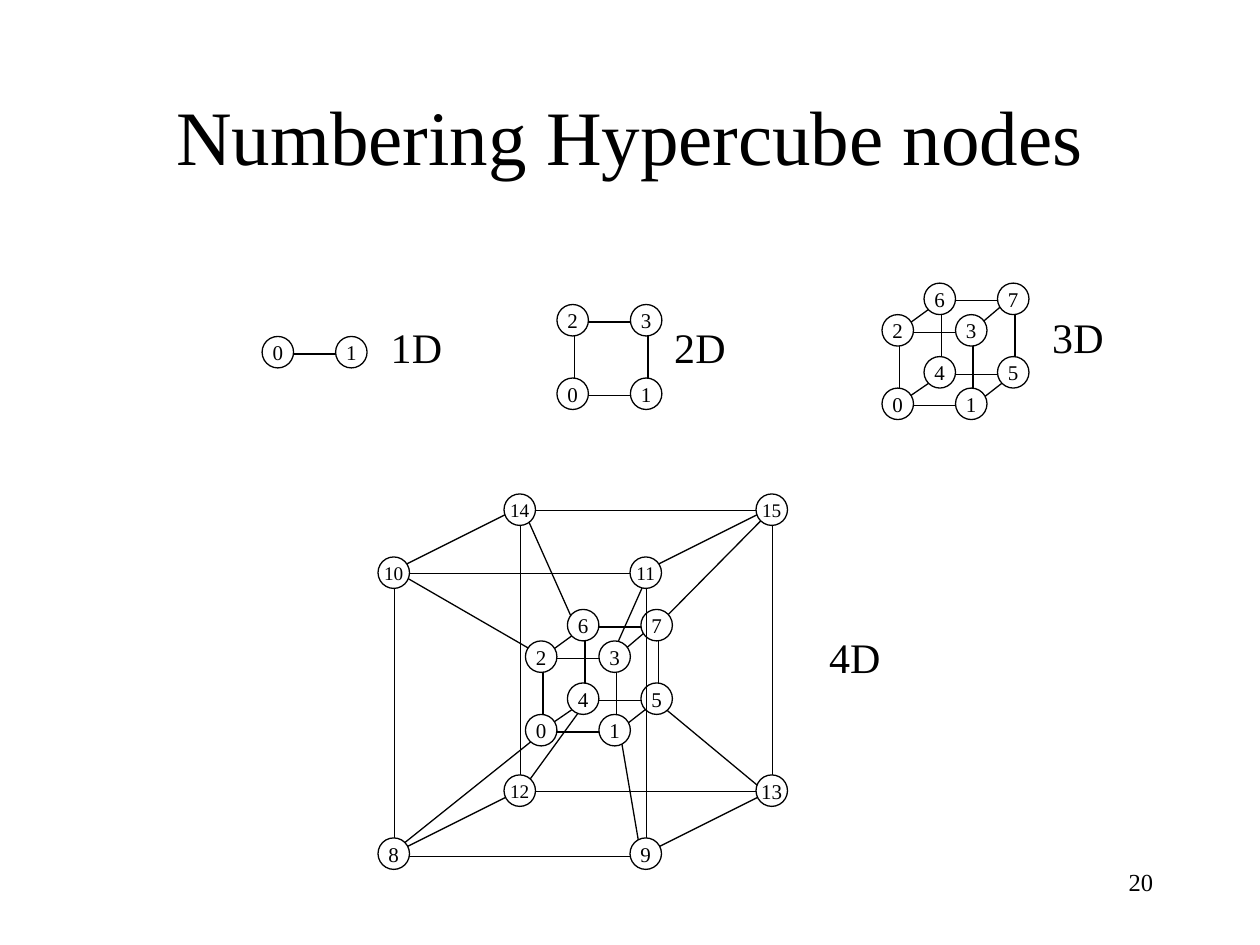
from pptx import Presentation
from pptx.dml.color import RGBColor
from pptx.enum.shapes import MSO_CONNECTOR, MSO_SHAPE
from pptx.enum.text import MSO_ANCHOR, PP_ALIGN
from pptx.oxml.ns import qn
from pptx.util import Inches, Pt
from lxml import etree

LINE = MSO_CONNECTOR.STRAIGHT
OVAL = MSO_SHAPE.OVAL
TOP, MIDDLE = MSO_ANCHOR.TOP, MSO_ANCHOR.MIDDLE
CENTER, RIGHT = PP_ALIGN.CENTER, PP_ALIGN.RIGHT
BLACK, WHITE = "000000", "FFFFFF"
FONT = "Times New Roman"
NODE_SIZE = 0.25

presentation = Presentation()
presentation.slide_width = Inches(10)
presentation.slide_height = Inches(7.5)
slide = presentation.slides.add_slide(presentation.slide_layouts[6])


def write_text(shape, text, size, anchor=TOP, align=CENTER, wrap=False):
    frame = shape.text_frame
    frame.word_wrap = wrap
    frame.vertical_anchor = anchor
    paragraph = frame.paragraphs[0]
    paragraph.alignment = align
    run = paragraph.add_run()
    run.text = text
    run.font.name = FONT
    run.font.size = Pt(size)
    run.font.color.rgb = RGBColor.from_string(BLACK)
    return paragraph


def add_edge(first, first_anchor, second, second_anchor):
    """Join two nodes; each anchor is an offset from the node's top left."""
    ends = [Inches(place + offset)
            for node, anchor in ((first, first_anchor), (second, second_anchor))
            for place, offset in zip(node, anchor)]
    connector = slide.shapes.add_connector(LINE, *ends)
    connector.line.color.rgb = RGBColor.from_string(BLACK)
    connector.line.width = Pt(0.75)
    etree.SubElement(connector._element.spPr, qn("a:effectLst"))


# Title and page number
title = slide.shapes.add_textbox(Inches(0.75), Inches(0.44), Inches(8.5), Inches(1.25))
write_text(title, "Numbering Hypercube nodes", 44, MIDDLE, wrap=True)
page_number = slide.shapes.add_textbox(Inches(7.17), Inches(6.83), Inches(2.08), Inches(0.5))
write_text(page_number, "20", 14, align=RIGHT, wrap=True)

# Steps and edge anchors by bit: 1 is across, 2 is up, 4 is back
small_steps = {1: (7 / 12, 0), 2: (0, -7 / 12), 4: (1 / 3, -0.25)}
small_anchors = {
    1: [((0.17, 0.14), (0.09, 0.14))] * 4,
    2: [((0.14, 0.17), (0.14, 0.08))] * 4,
    4: [((0.14, 0.12), (0.20, 0.10)), ((0.14, 0.14), (0.14, 0.13)),
        ((0.08, 0.17), (0.09, 0.17)), ((0.12, 0.14), (0.14, 0.09))],
}
large_steps = {1: (2, 0), 2: (0, -2.23), 4: (1, -0.5)}
large_anchors = {
    1: [((0.14, 0.15), (0.14, 0.15))] + [((0.14, 0.13), (0.14, 0.13))] * 3,
    2: [((0.13, 0.10), (0.13, 0.08))] * 4,
    4: [((0.17, 0.10), (0.17, 0.10))] * 2 + [((0.12, 0.11), (0.12, 0.11))] * 2,
}

# Cubes: number of nodes, first number, place of first node, steps, anchors
cubes = [
    (2, 0, (2.08, 2.67), small_steps, small_anchors),
    (4, 0, (4.42, 3), small_steps, small_anchors),
    (8, 0, (7, 3.08), small_steps, small_anchors),
    (8, 0, (4.17, 5.67), small_steps, small_anchors),
    (8, 8, (3, 6.65), large_steps, large_anchors),
]
layouts = [
    [tuple(origin[axis] + sum(step[axis] for bit, step in steps.items() if index & bit)
           for axis in (0, 1))
     for index in range(count)]
    for count, first_number, origin, steps, anchors in cubes
]

# Links from the outer to the inner cube of the 4D figure
link_anchors = [
    ((0.11, 0.12), (0.19, 0.10)), ((0.08, 0.10), (0.17, 0.16)),
    ((0.08, 0.08), (0.08, 0.09)), ((0.17, 0.08), (0.08, 0.17)),
    ((0.13, 0.14), (0.15, 0.15)), ((0.08, 0.14), (0.09, 0.12)),
    ((0.17, 0.16), (0.08, 0.17)), ((0.17, 0.08), (0.09, 0.17)),
]
inner, outer = layouts[-2:]
for outer_node, inner_node, (start, end) in zip(outer, inner, link_anchors):
    add_edge(outer_node, start, inner_node, end)

# Edges join numbers that differ in one bit; nodes lie over their edges
for (count, first_number, origin, steps, anchors), nodes in zip(cubes, layouts):
    for bit in steps:
        lower = [index for index in range(count) if not index & bit and index + bit < count]
        for index, (start, end) in zip(lower, anchors[bit]):
            add_edge(nodes[index], start, nodes[index + bit], end)
    for number, (left, top) in enumerate(nodes, first_number):
        node = slide.shapes.add_shape(
            OVAL, Inches(left), Inches(top), Inches(NODE_SIZE), Inches(NODE_SIZE))
        node.shadow.inherit = False
        node.fill.solid()
        node.fill.fore_color.rgb = RGBColor.from_string(WHITE)
        node.line.color.rgb = RGBColor.from_string(BLACK)
        node.line.width = Pt(0.75)
        size = 11 if number in (10, 11, 12, 14, 15) else 12
        write_text(node, str(number), size, MIDDLE).space_before = Pt(2.4)

# Dimension labels
for text, left, top in (("1D", 3, 2.5), ("2D", 5.25, 2.5),
                        ("3D", 8.25, 2.42), ("4D", 6.48, 4.96)):
    label = slide.shapes.add_textbox(Inches(left), Inches(top), Inches(0.61), Inches(0.5))
    write_text(label, text, 24)

presentation.save("out.pptx")
